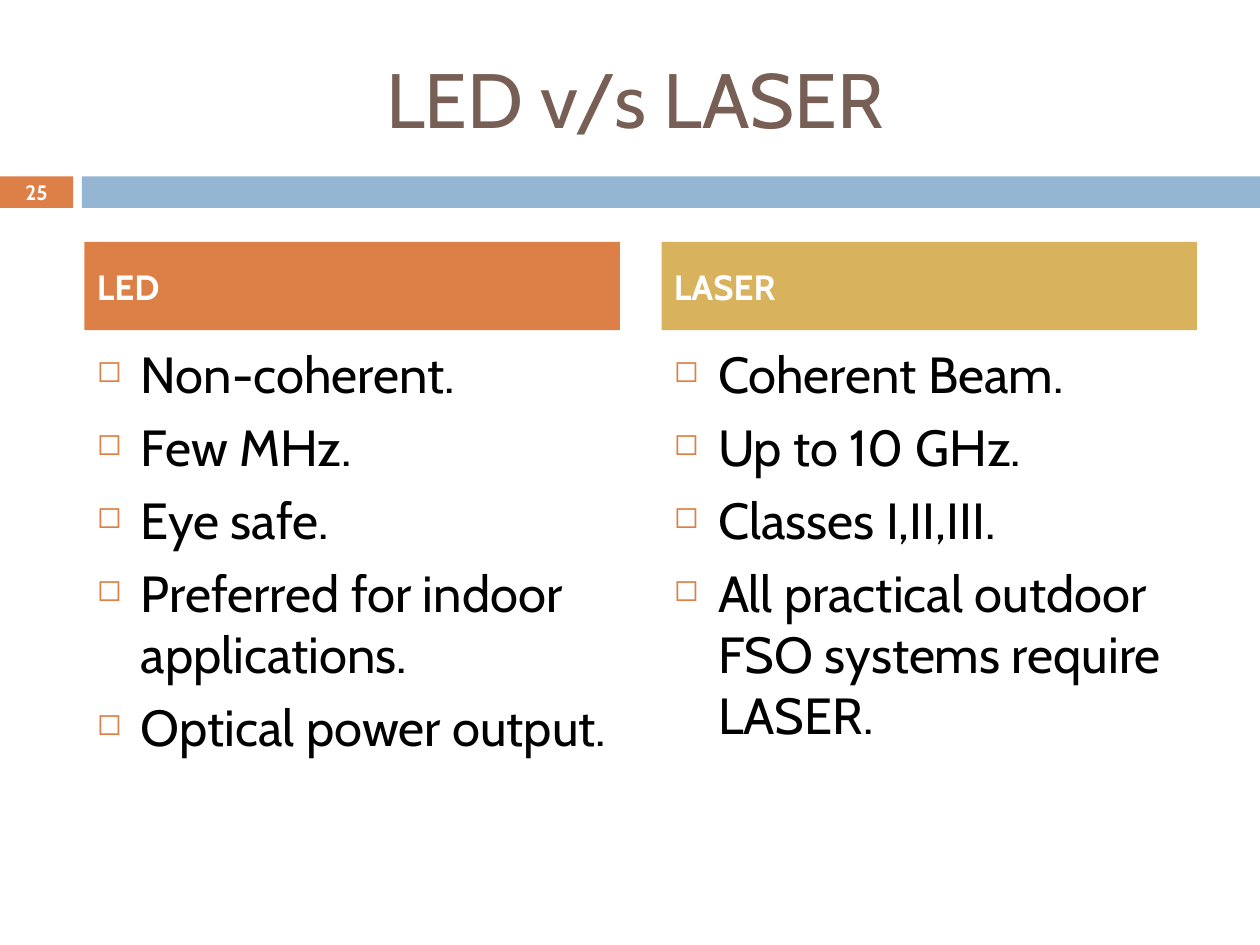
from dataclasses import dataclass

from lxml import etree
from pptx import Presentation
from pptx.dml.color import RGBColor
from pptx.enum.shapes import MSO_SHAPE
from pptx.enum.text import MSO_ANCHOR, PP_ALIGN
from pptx.oxml.ns import qn
from pptx.shapes.autoshape import Shape
from pptx.slide import Slide
from pptx.text.text import _Paragraph
from pptx.util import Inches, Pt

RECTANGLE = MSO_SHAPE.RECTANGLE
TOP, MIDDLE = MSO_ANCHOR.TOP, MSO_ANCHOR.MIDDLE
LEFT, CENTER = PP_ALIGN.LEFT, PP_ALIGN.CENTER
FONT = "Cabin"
COLORS = {
    "orange": "DD8047",
    "blue": "94B6D2",
    "gold": "D8B25C",
    "brown": "775F55",
    "black": "000000",
    "white": "FFFFFF",
}


@dataclass(frozen=True)
class Area:
    left: float
    top: float
    width: float
    height: float

    def lengths(self) -> tuple[Inches, ...]:
        return tuple(map(Inches, (self.left, self.top, self.width, self.height)))


@dataclass(frozen=True)
class TextStyle:
    size: float
    color: str
    bold: bool = False
    align: PP_ALIGN = LEFT
    anchor: MSO_ANCHOR = MIDDLE
    bulleted: bool = False


@dataclass(frozen=True)
class Column:
    heading: str
    color: str
    points: tuple[str, ...]


TITLE = TextStyle(44, "brown", align=CENTER)
NUMBER = TextStyle(11.9, "white", bold=True, align=CENTER)
HEADING = TextStyle(20, "white", bold=True)
BODY = TextStyle(29, "black", anchor=TOP, bulleted=True)

COLUMN_LEFT, COLUMN_WIDTH, COLUMN_STEP = 0.67, 4.25, 4.58
COLUMNS = (
    Column("LED", "orange", (
        "Non-coherent.",
        "Few MHz.",
        "Eye safe.",
        "Preferred for indoor applications.",
        "Optical power output.",
    )),
    Column("LASER", "gold", (
        "Coherent Beam.",
        "Up to 10 GHz.",
        "Classes I,II,III.",
        "All practical outdoor FSO systems require LASER.",
    )),
)


def add_bar(page: Slide, area: Area, color: str) -> Shape:
    """Draw a plain filled rectangle."""
    bar = page.shapes.add_shape(RECTANGLE, *area.lengths())
    bar.shadow.inherit = False
    bar.fill.solid()
    bar.fill.fore_color.rgb = RGBColor.from_string(COLORS[color])
    bar.line.fill.background()
    return bar


def add_bullet(para: _Paragraph) -> None:
    """Give a paragraph a hanging square bullet."""
    properties = para._p.get_or_add_pPr()
    properties.set("marL", str(Inches(0.35)))
    properties.set("indent", str(-Inches(0.35)))
    color = etree.SubElement(properties, qn("a:buClr"))
    etree.SubElement(color, qn("a:srgbClr"), val=COLORS["orange"])
    etree.SubElement(properties, qn("a:buSzPct"), val="60000")
    etree.SubElement(properties, qn("a:buChar"), char="◻")


def write(box: Shape, lines: tuple[str, ...], style: TextStyle) -> None:
    """Fill a shape with one styled paragraph per line."""
    frame = box.text_frame
    frame.word_wrap = True
    frame.vertical_anchor = style.anchor
    frame.text = "\n".join(lines)
    for index, para in enumerate(frame.paragraphs):
        if style.bulleted:
            add_bullet(para)
        para.alignment = style.align
        if index:
            para.space_before = Pt(7)
        para.font.name = FONT
        para.font.size = Pt(style.size)
        para.font.bold = style.bold
        para.font.color.rgb = RGBColor.from_string(COLORS[style.color])


def add_text(page: Slide, area: Area, lines: tuple[str, ...], style: TextStyle) -> None:
    """Add a text box holding the given lines."""
    write(page.shapes.add_textbox(*area.lengths()), lines, style)


def add_column(page: Slide, column: Column, left: float) -> None:
    """Draw a coloured heading with its bullet list below."""
    add_text(page, Area(left, 2.67, COLUMN_WIDTH, 3.92), column.points, BODY)
    heading = add_bar(page, Area(left, 1.92, COLUMN_WIDTH, 0.7), column.color)
    write(heading, (column.heading,), HEADING)


def main() -> None:
    """Build the comparison slide and save it."""
    deck = Presentation()
    deck.slide_width, deck.slide_height = Inches(10), Inches(7.5)
    page = deck.slides.add_slide(deck.slide_layouts[6])
    number = add_bar(page, Area(0, 1.4, 0.58, 0.25), "orange")
    write(number, ("25",), NUMBER)
    add_bar(page, Area(0.65, 1.4, 9.35, 0.25), "blue")
    add_text(page, Area(0.58, 0.3, 8.92, 0.95), ("LED v/s LASER",), TITLE)
    for index, column in enumerate(COLUMNS):
        add_column(page, column, COLUMN_LEFT + index * COLUMN_STEP)
    deck.save("out.pptx")


if __name__ == "__main__":
    main()
